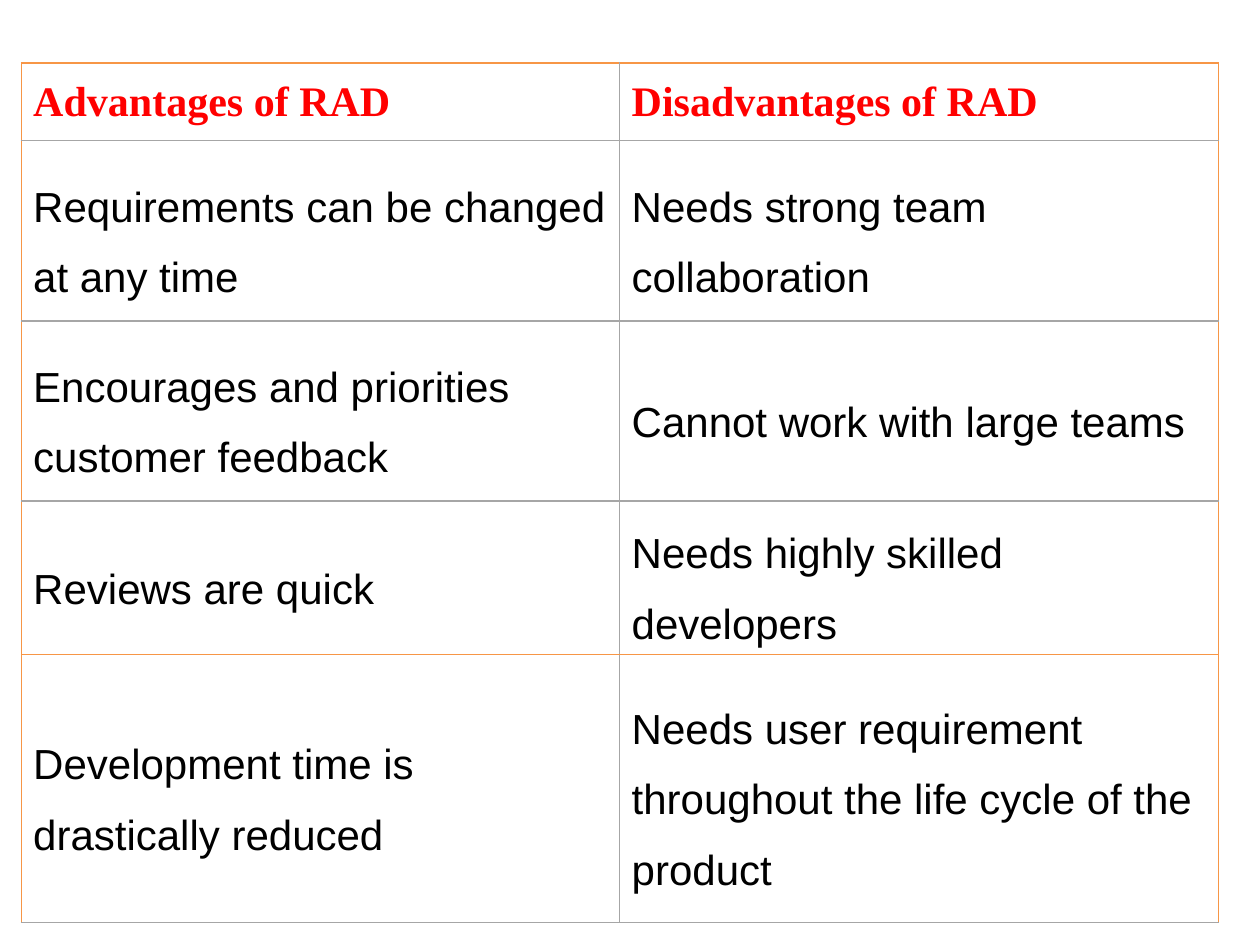
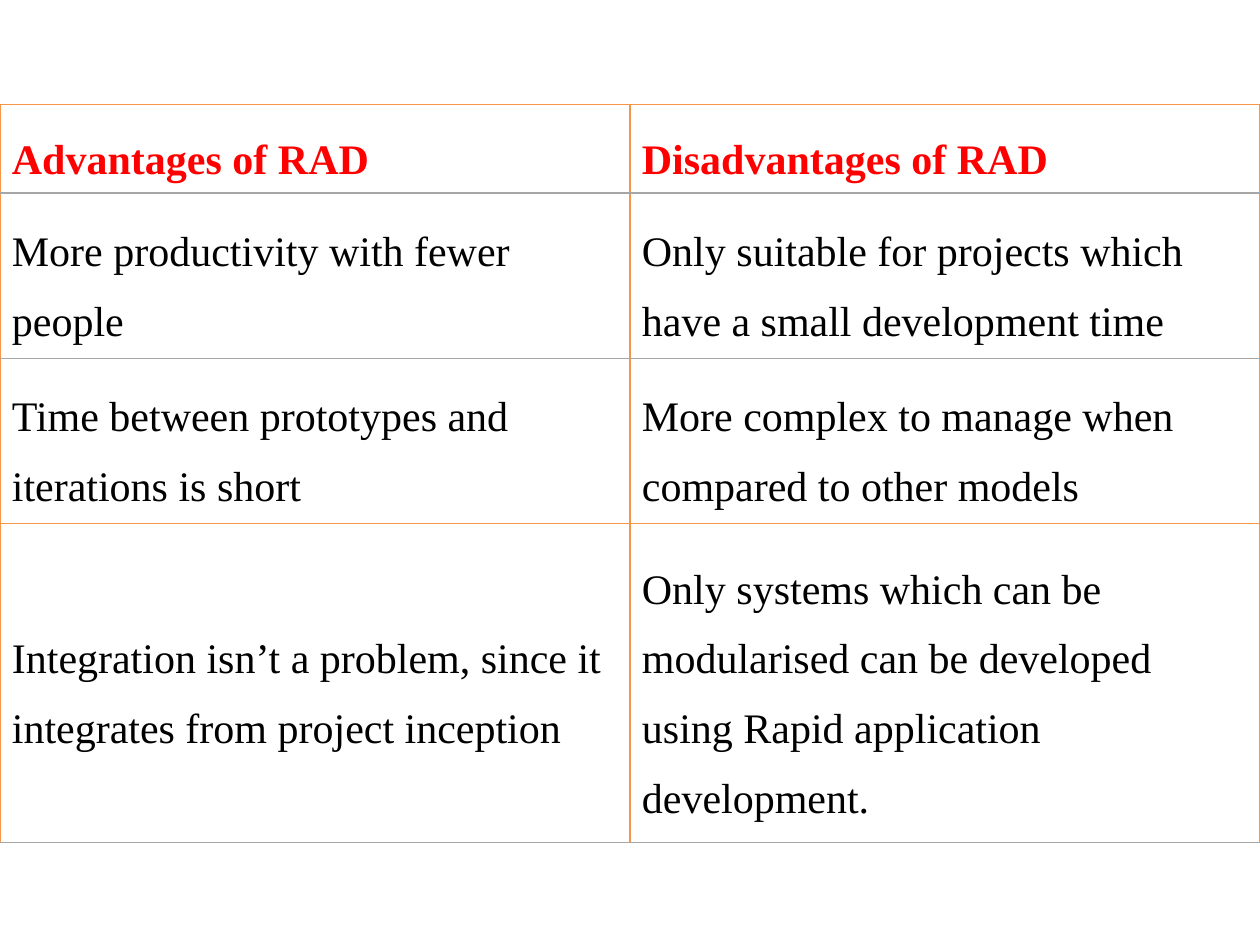
from dataclasses import dataclass

from lxml import etree
from pptx import Presentation
from pptx.dml.color import RGBColor
from pptx.enum.text import MSO_ANCHOR
from pptx.oxml.ns import qn
from pptx.util import Cm, Pt

MIDDLE = MSO_ANCHOR.MIDDLE
SIDES = ("lnL", "lnR", "lnT", "lnB")


@dataclass(frozen=True)
class Theme:
    heading: str = "FF0000"
    body: str = "000000"
    accent: str = "F79646"
    rule: str = "A6A6A6"
    serif: str = "Times New Roman"
    sans: str = "Arial"
    size: int = 24
    spacing: float = 1.5
    border: float = 0.75


THEME = Theme()
HEADINGS = ("Advantages of RAD", "Disadvantages of RAD")


@dataclass(frozen=True)
class Comparison:
    box: tuple
    heights: tuple
    rows: tuple
    body_font: str
    heading_spacing: float
    divider: str


FIRST = Comparison(
    box=(0.43, 1.27, 24.13),
    heights=(1.57, 3.63, 3.63, 1.85, 5.41),
    rows=(
        ("Requirements can be changed at any time", "Needs strong team collaboration"),
        ("Encourages and priorities customer feedback", "Cannot work with large teams"),
        ("Reviews are quick", "Needs highly skilled developers"),
        ("Development time is drastically reduced",
         "Needs user requirement throughout the life cycle of the product"),
    ),
    body_font=THEME.sans,
    heading_spacing=1.0,
    divider=THEME.rule,
)

SECOND = Comparison(
    box=(0, 2.11, 25.4),
    heights=(1.78, 3.33, 3.33, 6.43),
    rows=(
        ("More productivity with fewer people",
         "Only suitable for projects which have a small development time"),
        ("Time between prototypes and iterations is short",
         "More complex to manage when compared to other models"),
        ("Integration isn’t a problem, since it integrates from project inception",
         "Only systems which can be modularised can be developed "
         "using Rapid application development."),
    ),
    body_font=THEME.serif,
    heading_spacing=THEME.spacing,
    divider=THEME.accent,
)


def set_borders(cell, colors):
    properties = cell._tc.get_or_add_tcPr()
    for position, (side, color) in enumerate(zip(SIDES, colors)):
        line = etree.Element(qn(f"a:{side}"), w=str(Pt(THEME.border)))
        fill = etree.SubElement(line, qn("a:solidFill"))
        etree.SubElement(fill, qn("a:srgbClr"), val=color)
        properties.insert(position, line)


def fill_cell(cell, text, font_name, color, spacing, bold):
    cell.fill.background()
    cell.vertical_anchor = MIDDLE
    cell.margin_left = cell.margin_right = Cm(0.24)
    cell.margin_top = cell.margin_bottom = Cm(0.13)
    cell.text_frame.text = text
    para = cell.text_frame.paragraphs[0]
    para.line_spacing = spacing
    for span in para.runs:
        span.font.name = font_name
        span.font.size = Pt(THEME.size)
        span.font.bold = bold
        span.font.color.rgb = RGBColor.from_string(color)


def horizontal_color(edge, last):
    return THEME.accent if edge in (0, last - 1) else THEME.rule


def add_comparison(page, comparison):
    left, top, width = comparison.box
    row_count = len(comparison.heights)
    frame = page.shapes.add_table(
        row_count, len(HEADINGS), Cm(left), Cm(top), Cm(width), Cm(sum(comparison.heights)))
    table = frame.table
    table.first_row = table.horz_banding = False
    for column in table.columns:
        column.width = Cm(width / len(HEADINGS))
    verticals = (THEME.accent, comparison.divider, THEME.accent)
    for row, texts in enumerate((HEADINGS, *comparison.rows)):
        table.rows[row].height = Cm(comparison.heights[row])
        for column, text in enumerate(texts):
            cell = table.cell(row, column)
            if row == 0:
                fill_cell(cell, text, THEME.serif, THEME.heading, comparison.heading_spacing, True)
            else:
                fill_cell(cell, text, comparison.body_font, THEME.body, THEME.spacing, False)
            set_borders(cell, (
                verticals[column], verticals[column + 1],
                horizontal_color(row, row_count), horizontal_color(row + 1, row_count)))


def main():
    deck = Presentation()
    deck.slide_width, deck.slide_height = Cm(25.4), Cm(19.05)
    for comparison in (FIRST, SECOND):
        page = deck.slides.add_slide(deck.slide_layouts[6])
        add_comparison(page, comparison)
    deck.save("out.pptx")


if __name__ == "__main__":
    main()
